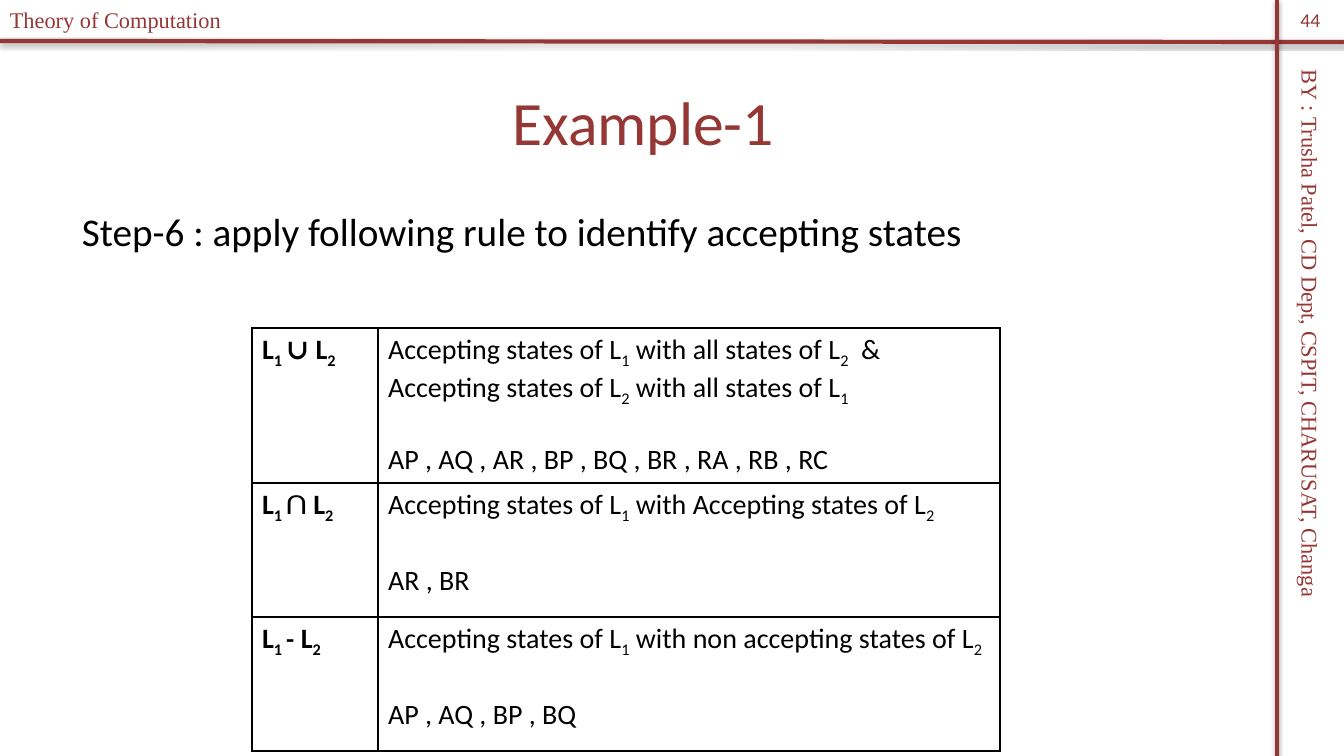
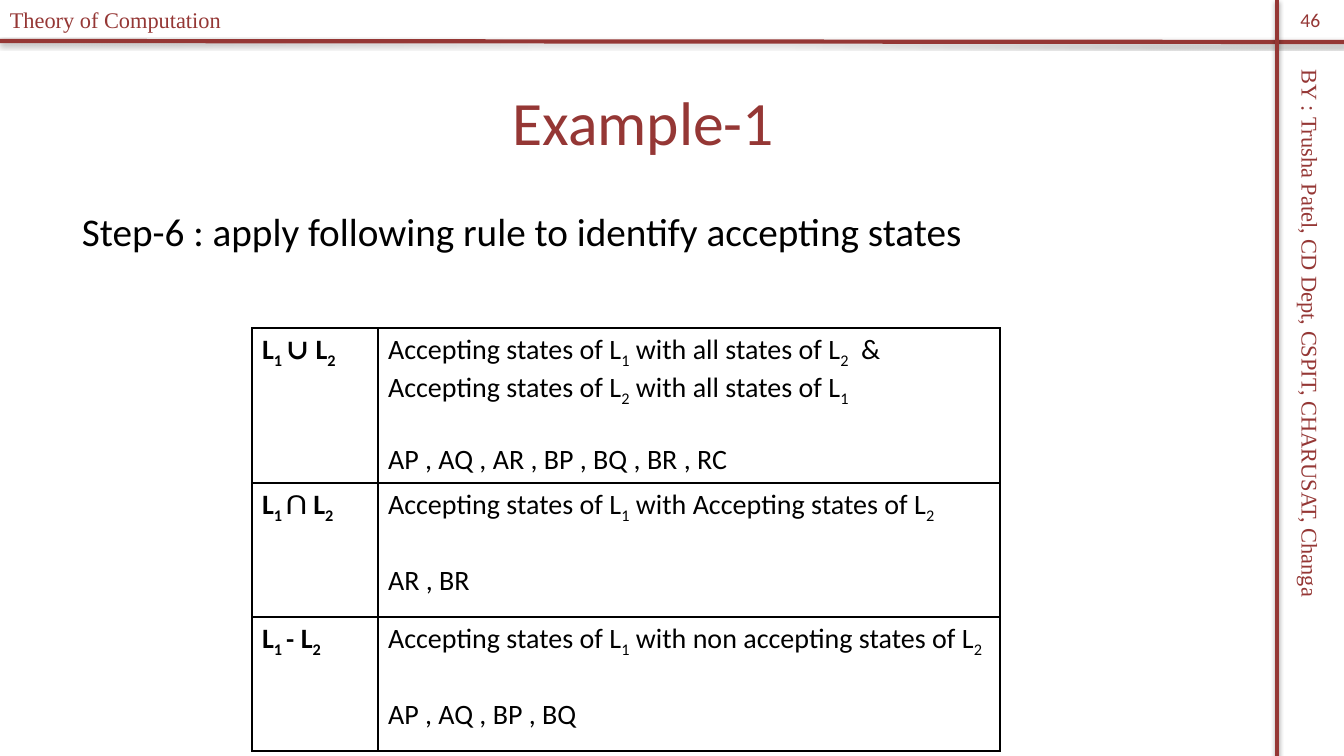
from lxml import etree
from pptx import Presentation
from pptx.dml.color import RGBColor
from pptx.enum.shapes import MSO_CONNECTOR
from pptx.enum.text import MSO_ANCHOR, PP_ALIGN
from pptx.oxml import parse_xml
from pptx.oxml.ns import nsdecls, qn
from pptx.util import Pt

PX = 12192000 / 1344
MAROON = RGBColor(0x95, 0x37, 0x35)
BLACK = RGBColor(0x00, 0x00, 0x00)
SANS, SERIF, MATH = "Calibri", "Times New Roman", "Cambria"
STRAIGHT = MSO_CONNECTOR.STRAIGHT
LEFT, CENTER = PP_ALIGN.LEFT, PP_ALIGN.CENTER
TOP, MIDDLE = MSO_ANCHOR.TOP, MSO_ANCHOR.MIDDLE
MATH_SIGNS = ("∪ ", "∩ ", "- ")

LINE_SHADOW = (
    f'<a:effectLst {nsdecls("a")}>'
    '<a:outerShdw blurRad="40000" dist="23000" dir="5400000" rotWithShape="0">'
    '<a:srgbClr val="000000"><a:alpha val="35000"/></a:srgbClr>'
    '</a:outerShdw></a:effectLst>'
)

UNION_RULES = [
    "Accepting states of L|1| with all states of L|2|  &",
    "Accepting states of L|2| with all states of L|1",
]
INTERSECTION_RULES = ["Accepting states of L|1| with Accepting states of L|2"]
DIFFERENCE_RULES = ["Accepting states of L|1| with non accepting states of L|2"]

PAGES = [
    ("44", "AP , AQ , AR , BP , BQ , BR , RA , RB , RC"),
    ("46", "AP , AQ , AR , BP , BQ , BR , RC"),
]


def px(length):
    """Turn px into EMU."""
    return round(length * PX)


class Lecture:
    """Holds the deck, its style and the current page."""

    def __init__(self):
        """Start a widescreen deck."""
        self.deck = Presentation()
        self.deck.slide_width, self.deck.slide_height = px(1344), px(756)
        self.page = None

    def add_page(self, number):
        """Add a page with the rules and captions that all pages share."""
        self.page = self.deck.slides.add_slide(self.deck.slide_layouts[6])
        self.line(0, 41, 1344, 42)
        self.line(1277, 0, 1277, 756)
        author = self.text("BY : Trusha Patel, CD Dept, CSPIT, CHARUSAT, Changa",
                           987, 365, 647, 37, 16, font=SERIF)
        author.rotation = 90
        self.text("Theory of Computation", 0, 1, 332, 37, 16, font=SERIF)
        self.text(number, 1277, 0, 67, 40, 14, align=CENTER, anchor=MIDDLE)

    def line(self, x1, y1, x2, y2):
        """Draw a shadowed maroon line."""
        line = self.page.shapes.add_connector(STRAIGHT, px(x1), px(y1), px(x2), px(y2))
        line.line.color.rgb = MAROON
        line.line.width = Pt(3)
        line._element.spPr.append(parse_xml(LINE_SHADOW))

    def text(self, words, left, top, width, height, size,
             color=MAROON, font=SANS, align=LEFT, anchor=TOP):
        """Add a one-paragraph text box."""
        box = self.page.shapes.add_textbox(px(left), px(top), px(width), px(height))
        frame = box.text_frame
        frame.word_wrap = True
        frame.vertical_anchor = anchor
        para = frame.paragraphs[0]
        para.text = words
        para.alignment = align
        self.style(para, size, color, font)
        return box

    def style(self, para, size, color, font=None, bold=False):
        """Set the font of a paragraph."""
        para.font.size = Pt(size)
        para.font.color.rgb = color
        para.font.bold = bold
        if font:
            para.font.name = font

    def title(self, words):
        """Add the page title."""
        self.text(words, 22, 58, 1243, 126, 44, align=CENTER, anchor=MIDDLE)

    def body(self, words):
        """Add the indented body text."""
        box = self.text(words, 22, 202, 1243, 529, 28, color=BLACK)
        box.text_frame.margin_left = px(60)

    def spans(self, para, markup, bold=False):
        """Fill a paragraph, with every second part as a subscript."""
        self.style(para, 20, BLACK, bold=bold)
        for index, part in enumerate(markup.split("|")):
            if part:
                span = para.add_run()
                span.text = part
                span.font.name = MATH if part in MATH_SIGNS else SANS
                if index % 2:
                    span._r.get_or_add_rPr().set("baseline", "-25000")

    def border(self, cell):
        """Give a cell thin black borders and no fill."""
        properties = cell._tc.get_or_add_tcPr()
        for side in ("a:lnL", "a:lnR", "a:lnT", "a:lnB"):
            edge = etree.SubElement(properties, qn(side), w=str(Pt(1)))
            fill = etree.SubElement(edge, qn("a:solidFill"))
            etree.SubElement(fill, qn("a:srgbClr"), val=str(BLACK))
        cell.fill.background()

    def table(self, rows, left, top, widths, heights):
        """Add a table of labels, their rules and the resulting states."""
        table = self.page.shapes.add_table(
            len(rows), len(widths), px(left), px(top),
            px(sum(widths)), px(sum(heights))).table
        table.first_row = table.horz_banding = False
        for column, width in zip(table.columns, widths):
            column.width = px(width)
        for row, height, (sign, rules, states, gap) in zip(table.rows, heights, rows):
            row.height = px(height)
            label, detail = row.cells
            self.border(label)
            self.border(detail)
            self.spans(label.text_frame.paragraphs[0], f"L|1 |{sign} ||L|2", bold=True)
            frame = detail.text_frame
            self.spans(frame.paragraphs[0], rules[0])
            for rule in rules[1:]:
                self.spans(frame.add_paragraph(), rule)
            result = frame.add_paragraph()
            result.space_before = Pt(gap)
            self.spans(result, states)


def main():
    """Build and save the deck."""
    lecture = Lecture()
    for number, union_states in PAGES:
        lecture.add_page(number)
        lecture.title("Example-1")
        lecture.body("Step-6 : apply following rule to identify accepting states")
        lecture.table([
            ("∪", UNION_RULES, union_states, 24),
            ("∩", INTERSECTION_RULES, "AR , BR", 27),
            ("-", DIFFERENCE_RULES, "AP , AQ , BP , BQ", 27),
        ], 252, 328, (126, 622), (155, 134, 134))
    lecture.deck.save("out.pptx")


if __name__ == "__main__":
    main()
